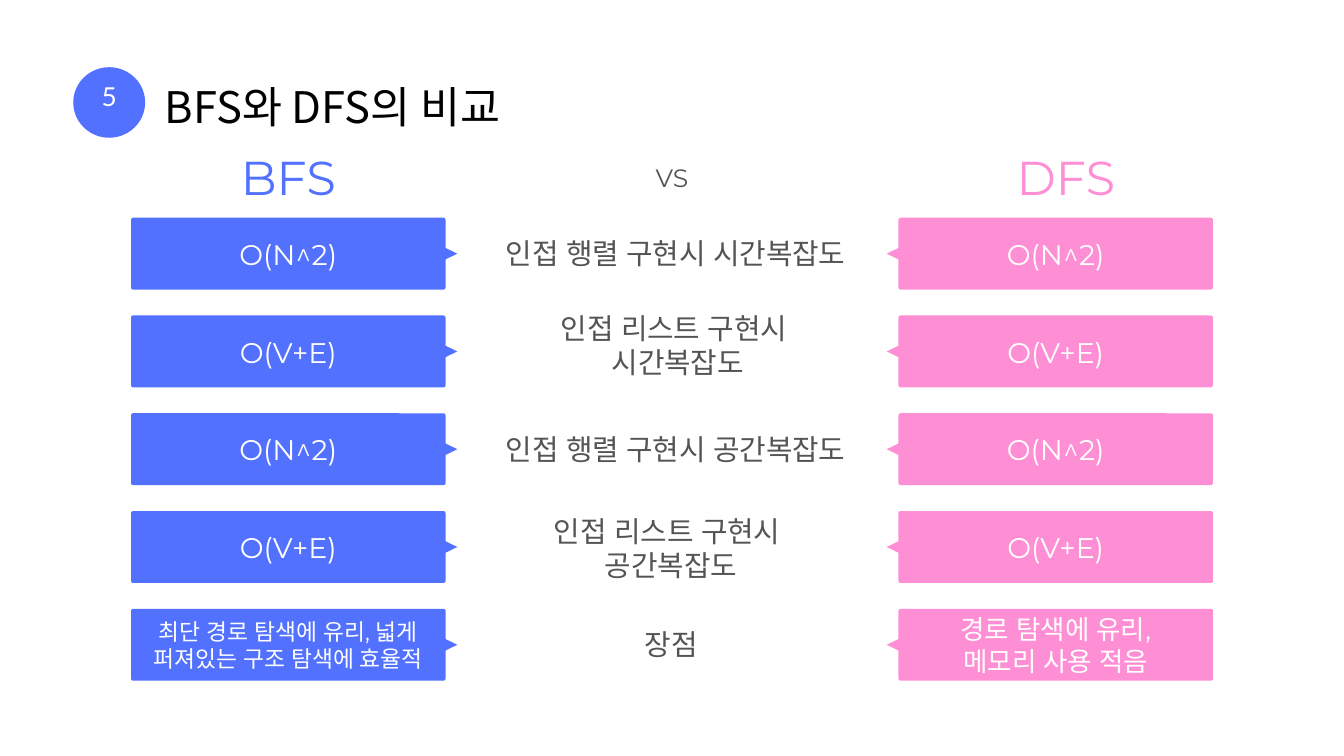
from dataclasses import dataclass

from lxml.etree import SubElement
from pptx import Presentation
from pptx.dml.color import RGBColor
from pptx.enum.shapes import MSO_SHAPE
from pptx.enum.text import MSO_ANCHOR, PP_ALIGN
from pptx.oxml.ns import qn
from pptx.util import Inches, Pt


@dataclass(frozen=True)
class Theme:
    """Colours, fonts and type sizes of the slide."""
    blue: str = "5271FF"
    pink: str = "FF8FD4"
    gray: str = "545454"
    white: str = "FFFFFF"
    black: str = "000000"
    title_font: str = "Noto Sans CJK KR"
    body_font: str = "Montserrat"
    number_font: str = "Lato"
    title: float = 46.6
    heading: float = 50.9
    label: float = 30.9
    value: float = 30.4
    dfs_merit: float = 28.4
    number: float = 28
    versus: float = 26.9
    bfs_merit: float = 24.4


THEME = Theme()
FIRST_TOP, LAST_TOP = 3.24, 9.06
CARD_WIDTH, CARD_HEIGHT = 4.68, 1.07
TEXT_WIDTH = 4.09
LABEL_WIDTH = 5.13
POINTER_WIDTH, POINTER_HEIGHT = 0.34, 0.35
BFS_LEFT, DFS_LEFT = 1.95, 13.37

ROWS = [
    ("O(N^2)", ["인접 행렬 구현시 시간복잡도"], 7.49, 3.51, "O(N^2)"),
    ("O(V+E)", ["인접 리스트 구현시 ", "시간복잡도"], 7.52, 4.62, "O(V+E)"),
    ("O(N^2)", ["인접 행렬 구현시 공간복잡도"], 7.49, 6.42, "O(N^2)"),
    ("O(V+E)", ["인접 리스트 구현시 ", "공간복잡도"], 7.42, 7.64, "O(V+E)"),
]
BFS_MERIT = ["최단 경로 탐색에 유리, 넓게 퍼져있는 구조 탐색에 효율적"]
DFS_MERIT = ["경로 탐색에 유리,", "메모리 사용 적음"]


def add_text(page, lines, left, top, width, height, size, color,
             font=THEME.body_font, align=PP_ALIGN.CENTER, spacing=1.2):
    """Add a text box without margins, one paragraph per line."""
    box = page.shapes.add_textbox(Inches(left), Inches(top), Inches(width), Inches(height))
    frame = box.text_frame
    frame.word_wrap = True
    frame.margin_left = frame.margin_top = frame.margin_right = frame.margin_bottom = 0
    for index, line in enumerate(lines):
        para = frame.paragraphs[0] if index == 0 else frame.add_paragraph()
        para.alignment = align
        para.line_spacing = Pt(round(size * spacing, 1))
        span = para.add_run()
        span.text = line
        span.font.size = Pt(size)
        span.font.name = font
        span.font.color.rgb = RGBColor.from_string(color)
        SubElement(span.font._element, qn("a:ea")).set("typeface", font)
    return box


def add_filled(page, kind, left, top, width, height, color):
    """Add a flat preset shape without outline or shadow."""
    shape = page.shapes.add_shape(kind, Inches(left), Inches(top), Inches(width), Inches(height))
    shape.shadow.inherit = False
    shape.fill.solid()
    shape.fill.fore_color.rgb = RGBColor.from_string(color)
    shape.line.fill.background()
    return shape


def add_card(page, left, top, color, edge, rotation):
    """Add a rounded card with a pointer centred on its inner edge."""
    card = add_filled(page, MSO_SHAPE.ROUNDED_RECTANGLE, left, top,
                      CARD_WIDTH, CARD_HEIGHT, color)
    card.adjustments[0] = 0.03
    pointer = add_filled(page, MSO_SHAPE.ISOSCELES_TRIANGLE, edge - POINTER_WIDTH / 2,
                         top + (CARD_HEIGHT - POINTER_HEIGHT) / 2,
                         POINTER_WIDTH, POINTER_HEIGHT, color)
    pointer.rotation = rotation


def add_card_text(page, lines, card_left, card_top, height, size):
    """Add white text centred on a card."""
    add_text(page, lines, card_left + (CARD_WIDTH - TEXT_WIDTH) / 2,
             card_top + (CARD_HEIGHT - height) / 2, TEXT_WIDTH, height, size, THEME.white)


def add_title(page):
    """Add the numbered circle and the slide title."""
    add_text(page, ["BFS와 DFS의 비교"], 2.45, 1.01, 5.88, 0.92, THEME.title, THEME.black,
             THEME.title_font, PP_ALIGN.LEFT, 1.47)
    add_filled(page, MSO_SHAPE.OVAL, 1.09, 1, 1.07, 1.05, THEME.blue)
    number = add_text(page, ["5"], 1.09, 0.71, 1.07, 1.33, THEME.number, THEME.white,
                      THEME.number_font, spacing=1.47)
    frame = number.text_frame
    frame.vertical_anchor = MSO_ANCHOR.MIDDLE
    frame.margin_left = frame.margin_top = Inches(0.04)
    frame.margin_right = frame.margin_bottom = Inches(0.04)
    frame.paragraphs[0].runs[0].font._element.set("spc", "410")


def add_headings(page):
    """Add the names of the two algorithms and the word between them."""
    add_text(page, ["BFS"], BFS_LEFT, 2.21, CARD_WIDTH, 0.84, THEME.heading, THEME.blue)
    add_text(page, ["DFS"], 13.38, 2.21, 4.96, 0.84, THEME.heading, THEME.pink)
    add_text(page, ["VS"], 7.52, 2.42, 4.96, 0.44, THEME.versus, THEME.gray)


def add_comparison(page):
    """Add the cards of both columns with the criteria between them."""
    pitch = (LAST_TOP - FIRST_TOP) / len(ROWS)
    for index in range(len(ROWS) + 1):
        top = FIRST_TOP + index * pitch
        add_card(page, BFS_LEFT, top, THEME.blue, BFS_LEFT + CARD_WIDTH, 90)
        add_card(page, DFS_LEFT, top, THEME.pink, DFS_LEFT, 270)
    for index, (bfs, criterion, label_left, label_top, dfs) in enumerate(ROWS):
        top = FIRST_TOP + index * pitch
        add_card_text(page, [bfs], BFS_LEFT, top, 0.5, THEME.value)
        add_text(page, criterion, label_left, label_top, LABEL_WIDTH, 0.52 * len(criterion),
                 THEME.label, THEME.gray)
        add_card_text(page, [dfs], DFS_LEFT, top, 0.5, THEME.value)
    add_card_text(page, BFS_MERIT, BFS_LEFT, LAST_TOP, 0.81, THEME.bfs_merit)
    add_text(page, ["장점"], 7.94, 9.33, TEXT_WIDTH, 0.52, THEME.label, THEME.gray)
    add_card_text(page, DFS_MERIT, DFS_LEFT, LAST_TOP, 0.94, THEME.dfs_merit)


def main():
    """Build the comparison slide and save the deck."""
    deck = Presentation()
    deck.slide_width, deck.slide_height = Inches(20), Inches(11.25)
    page = deck.slides.add_slide(deck.slide_layouts[6])
    add_title(page)
    add_headings(page)
    add_comparison(page)
    deck.save("out.pptx")


if __name__ == "__main__":
    main()
